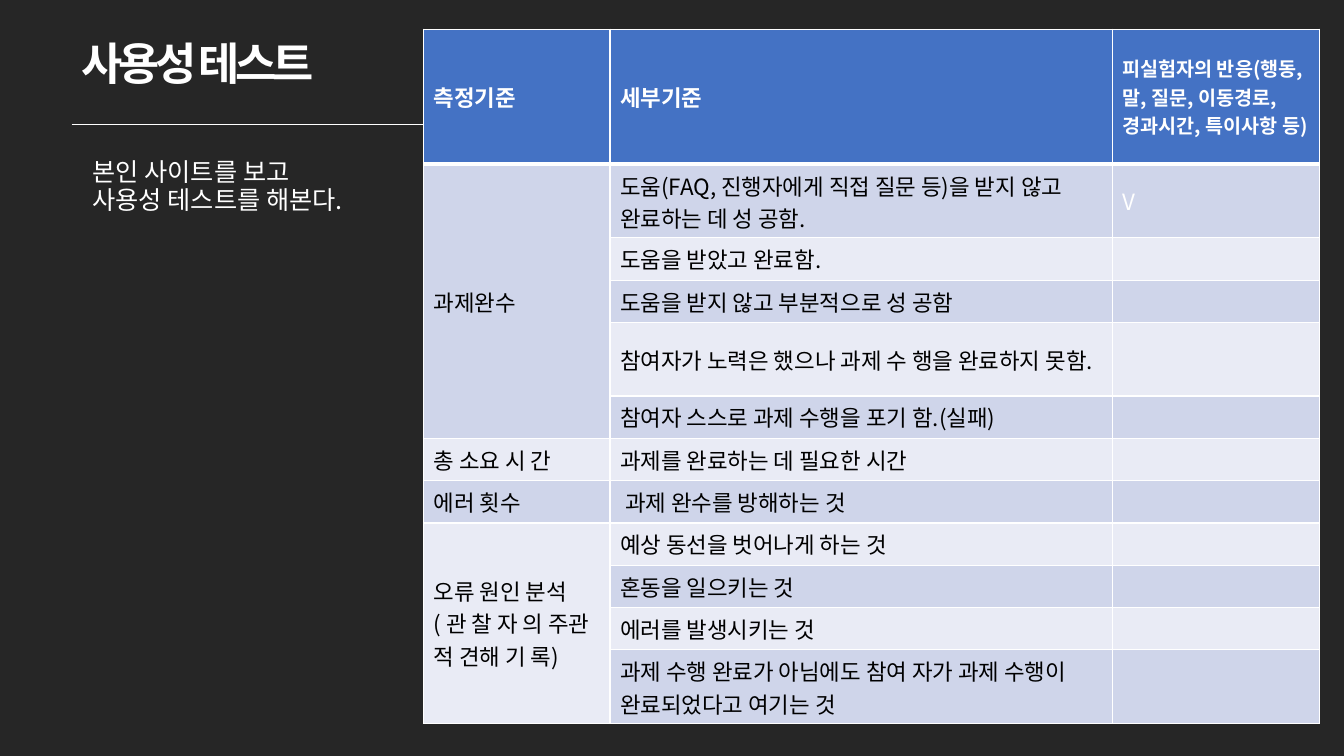
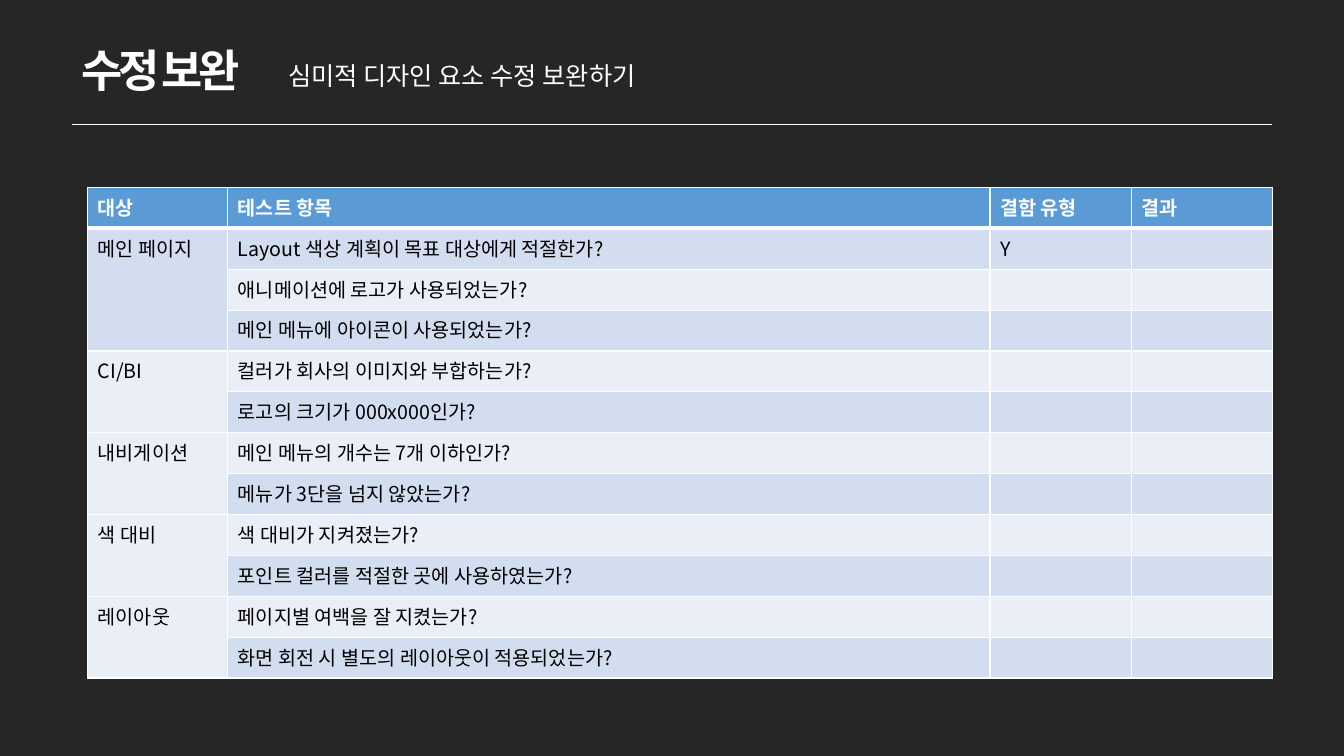
import pptx
import pptx.util
import pptx.dml.color
import pptx.enum.shapes
import pptx.enum.text
import pptx.oxml.ns
from lxml import etree

Inches = pptx.util.Inches
Pt = pptx.util.Pt
RGB = pptx.dml.color.RGBColor
Anchor = pptx.enum.text.MSO_ANCHOR
qn = pptx.oxml.ns.qn

FONT = "Noto Sans CJK KR"
DARK = RGB(0x26, 0x26, 0x26)
WHITE = RGB(0xFF, 0xFF, 0xFF)
BLACK = RGB(0x00, 0x00, 0x00)
NAVY = (RGB(0x44, 0x72, 0xC4), RGB(0xCF, 0xD5, 0xEA), RGB(0xE9, 0xEB, 0xF5))
SKY = (RGB(0x5B, 0x9B, 0xD5), RGB(0xD2, 0xDE, 0xEF), RGB(0xEA, 0xEF, 0xF7))
LEADING = 0.9

TEST_ROWS = [
    ("측정기준", "세부기준", "피실험자의 반응(행동, 말, 질문, 이동경로, 경과시간, 특이사항 등)"),
    ("과제완수", "도움(FAQ, 진행자에게 직접 질문 등)을 받지 않고 완료하는 데 성 공함.", "V"),
    ("", "도움을 받았고 완료함.", ""),
    ("", "도움을 받지 않고 부분적으로 성 공함", ""),
    ("", "참여자가 노력은 했으나 과제 수 행을 완료하지 못함.", ""),
    ("", "참여자 스스로 과제 수행을 포기 함.(실패)", ""),
    ("총 소요 시 간", "과제를 완료하는 데 필요한 시간", ""),
    ("에러 횟수", " 과제 완수를 방해하는 것", ""),
    ("오류 원인 분석 ( 관 찰 자 의 주관 적 견해 기 록)", "예상 동선을 벗어나게 하는 것", ""),
    ("", "혼동을 일으키는 것", ""),
    ("", "에러를 발생시키는 것", ""),
    ("", "과제 수행 완료가 아님에도 참여 자가 과제 수행이 완료되었다고 여기는 것", ""),
]
FIX_ROWS = [
    ("대상", "테스트 항목", "결함 유형", "결과"),
    ("메인 페이지", "Layout 색상 계획이 목표 대상에게 적절한가?", "Y", ""),
    ("", "애니메이션에 로고가 사용되었는가?", "", ""),
    ("", "메인 메뉴에 아이콘이 사용되었는가?", "", ""),
    ("CI/BI", "컬러가 회사의 이미지와 부합하는가?", "", ""),
    ("", "로고의 크기가 000x000인가?", "", ""),
    ("내비게이션", "메인 메뉴의 개수는 7개 이하인가?", "", ""),
    ("", "메뉴가 3단을 넘지 않았는가?", "", ""),
    ("색 대비", "색 대비가 지켜졌는가?", "", ""),
    ("", "포인트 컬러를 적절한 곳에 사용하였는가?", "", ""),
    ("레이아웃", "페이지별 여백을 잘 지켰는가?", "", ""),
    ("", "화면 회전 시 별도의 레이아웃이 적용되었는가?", "", ""),
]


def style(frame, size, color, bold=False, track=None):
    """Format every run of a text frame, and the size of empty paragraphs."""
    for para in frame.paragraphs:
        for run in para.runs:
            font = run.font
            font.size, font.bold, font.name = Pt(size), bold, FONT
            font.color.rgb = color
            props = run._r.get_or_add_rPr()
            etree.SubElement(props, qn("a:ea")).set("typeface", FONT)
            if track:
                props.set("spc", str(track * 100))
        if not para.runs:
            etree.SubElement(para._p, qn("a:endParaRPr")).set("sz", str(size * 100))


def space(frame):
    """Tighten the lines of a text frame."""
    for para in frame.paragraphs:
        para.line_spacing = LEADING
        para.alignment = pptx.enum.text.PP_ALIGN.LEFT


def head(slide, text, top):
    """Place the slide title and the rule below it."""
    title = slide.shapes.title
    title.left, title.top = Inches(0.71), Inches(top)
    title.width, title.height = Inches(12.06), Inches(0.64)
    frame = title.text_frame
    frame.text = text
    frame.auto_size = pptx.enum.text.MSO_AUTO_SIZE.NONE
    frame.vertical_anchor = Anchor.TOP
    space(frame)
    style(frame, 32, WHITE, True, -3)
    rule = slide.shapes.add_connector(
        pptx.enum.shapes.MSO_CONNECTOR.STRAIGHT,
        Inches(0.71), Inches(1.23), Inches(12.62), Inches(1.23))
    rule.line.color.rgb = WHITE
    rule.line.width = Pt(0.5)
    etree.SubElement(rule._element.spPr, qn("a:effectLst"))


def note(slide, text, box):
    """Place a plain text note in a box."""
    shape = slide.shapes.add_textbox(*map(Inches, box))
    frame = shape.text_frame
    frame.text = text
    frame.word_wrap = False
    space(frame)
    style(frame, 18, WHITE)


def border(cell, base):
    """Draw white borders round a cell, with its own bottom width."""
    props = cell._tc.get_or_add_tcPr()
    for side, width in (("L", 1), ("R", 1), ("T", 1), ("B", base)):
        line = etree.SubElement(props, qn("a:ln" + side), w=str(Pt(width)))
        fill = etree.SubElement(line, qn("a:solidFill"))
        etree.SubElement(fill, qn("a:srgbClr"), val=str(WHITE))


def grid(slide, rows, box, widths, heights, size, tones, anchor):
    """Build a banded table whose blank first cells join the label above."""
    frame = slide.shapes.add_table(len(rows), len(widths), *map(Inches, box))
    table = frame.table
    for col, width in zip(table.columns, widths):
        col.width = Inches(width)
    for row, height in zip(table.rows, heights):
        row.height = Inches(height)
    for r, row in enumerate(rows):
        top = r == 0
        for c, text in enumerate(row):
            cell = table.cell(r, c)
            cell.text_frame.text = text
            cell.vertical_anchor = anchor
            cell.margin_right = Inches(0.1 if top else 0.2)
            style(cell.text_frame, size, WHITE if top else BLACK, top)
            border(cell, 3 if top else 1)
            cell.fill.solid()
            cell.fill.fore_color.rgb = tones[0 if top else 2 - r % 2]
    starts = [r for r, row in enumerate(rows) if row[0]]
    for start, end in zip(starts, starts[1:] + [len(rows)]):
        if end - start > 1:
            table.cell(start, 0).merge(table.cell(end - 1, 0))
    return table


def font(table, row, col):
    """Return the font of the text in one cell."""
    return table.cell(row, col).text_frame.paragraphs[0].runs[0].font


def test(slide):
    """Build the usability test slide."""
    head(slide, "사용성 테스트", 0.36)
    note(slide, "본인 사이트를 보고\n사용성 테스트를 해본다.", (0.82, 1.54, 2.96, 0.71))
    tall = {0: 1.34, 1: 0.73, 4: 0.73, 11: 0.73}
    heights = [tall.get(r, 0.42) for r in range(len(TEST_ROWS))]
    table = grid(slide, TEST_ROWS, (4.2, 0.29, 8.89, 6.87), (1.85, 4.98, 2.06),
                 heights, 16, NAVY, Anchor.MIDDLE)
    font(table, 0, 2).size = Pt(14)
    font(table, 1, 2).color.rgb = WHITE


def fix(slide):
    """Build the corrections slide."""
    head(slide, "수정 보완", 0.43)
    note(slide, "심미적 디자인 요소 수정 보완하기", (2.76, 0.58, 4.09, 0.4))
    heights = [4.87 / len(FIX_ROWS)] * len(FIX_ROWS)
    grid(slide, FIX_ROWS, (0.87, 1.86, 11.75, 4.87), (1.39, 7.56, 1.4, 1.4),
         heights, 14, SKY, Anchor.TOP)


def main():
    """Build and save the deck."""
    deck = pptx.Presentation()
    deck.slide_width, deck.slide_height = Inches(13.33), Inches(7.5)
    back = deck.slide_master.background.fill
    back.solid()
    back.fore_color.rgb = DARK
    for build in (test, fix):
        build(deck.slides.add_slide(deck.slide_layouts[5]))
    deck.save("out.pptx")


if __name__ == "__main__":
    main()
